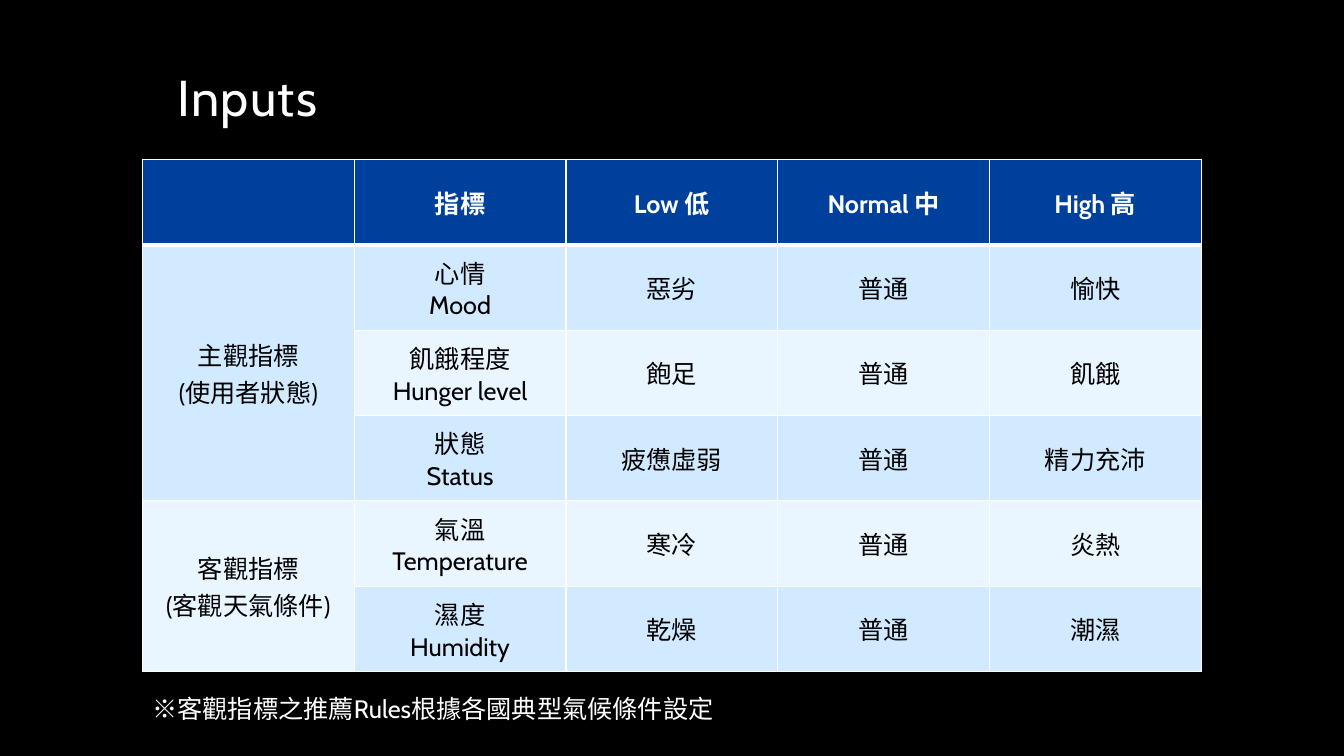
from lxml import etree
from pptx import Presentation
from pptx.dml.color import RGBColor
from pptx.enum.text import MSO_ANCHOR, MSO_AUTO_SIZE, PP_ALIGN
from pptx.oxml.ns import qn
from pptx.util import Cm, Pt

LEFT, CENTER = PP_ALIGN.LEFT, PP_ALIGN.CENTER
TOP, MIDDLE = MSO_ANCHOR.TOP, MSO_ANCHOR.MIDDLE
NO_FIT, GROW = MSO_AUTO_SIZE.NONE, MSO_AUTO_SIZE.SHAPE_TO_FIT_TEXT
TITLE_ONLY = 5
COLORS = {"back": "000000", "white": "FFFFFF", "ink": "000000",
          "header": "00409D", "odd": "D1EAFF", "even": "E9F5FF"}

HEADER = ["", "指標", "Low 低", "Normal 中", "High 高"]
# Each group: its label lines, then one row per indicator
GROUPS = [
    (["主觀指標", "(使用者狀態)"], [
        (["心情", "Mood"], "惡劣", "普通", "愉快"),
        (["飢餓程度", "Hunger level"], "飽足", "普通", "飢餓"),
        (["狀態", "Status"], "疲憊虛弱", "普通", "精力充沛"),
    ]),
    (["客觀指標", "(客觀天氣條件)"], [
        (["氣溫", "Temperature"], "寒冷", "普通", "炎熱"),
        (["濕度", "Humidity"], "乾燥", "普通", "潮濕"),
    ]),
]


class SlideBuilder:
    def __init__(self, prs, font="Cabin", size=18):
        self.font, self.size = font, size
        self.s = prs.slides.add_slide(prs.slide_layouts[TITLE_ONLY])
        fill = self.s.background.fill
        fill.solid()
        fill.fore_color.rgb = self.color("back")

    def color(self, name):
        return RGBColor.from_string(COLORS[name])

    def add_lines(self, tf, lines, color="white", size=None, bold=False, align=LEFT):
        for i, line in enumerate(lines):
            p = tf.add_paragraph() if i else tf.paragraphs[0]
            p.alignment = align
            r = p.add_run()
            r.text = line
            r.font.name, r.font.size = self.font, Pt(size or self.size)
            r.font.bold = bold
            r.font.color.rgb = self.color(color)

    def title(self, text, left, top, width, height):
        sp = self.s.shapes.title
        sp.left, sp.top, sp.width, sp.height = map(Cm, (left, top, width, height))
        tf = sp.text_frame
        tf.auto_size, tf.vertical_anchor = NO_FIT, TOP
        self.add_lines(tf, [text], size=36)
        p = tf.paragraphs[0]
        p.line_spacing = 0.9
        p.runs[0].font._element.set("spc", "100")

    def text(self, text, left, top, width, height):
        sp = self.s.shapes.add_textbox(*map(Cm, (left, top, width, height)))
        tf = sp.text_frame
        tf.word_wrap, tf.auto_size = True, GROW
        self.add_lines(tf, [text])

    def borders(self, cell, **widths):
        tcPr = cell._tc.get_or_add_tcPr()
        for i, side in enumerate("LRTB"):
            ln = etree.Element(qn(f"a:ln{side}"), w=str(Pt(widths.get(side, 1))))
            fill = etree.SubElement(ln, qn("a:solidFill"))
            etree.SubElement(fill, qn("a:srgbClr"), val=COLORS["white"])
            tcPr.insert(i, ln)

    def cell(self, cell, content, fill, color="ink", bold=False, **widths):
        self.borders(cell, **widths)
        cell.fill.solid()
        cell.fill.fore_color.rgb = self.color(fill)
        cell.vertical_anchor = MIDDLE
        lines = [content] if isinstance(content, str) else content
        if any(lines):
            self.add_lines(cell.text_frame, lines, color, bold=bold, align=CENTER)

    def table(self, header, groups, left, top, width, height):
        n_rows = 1 + sum(len(rows) for _, rows in groups)
        table = self.s.shapes.add_table(
            n_rows, len(header), *map(Cm, (left, top, width, height))).table
        for col in table.columns:
            col.width = Cm(width / len(header))
        for row in table.rows:
            row.height = Cm(height / n_rows)

        # Header row
        for c, label in enumerate(header):
            self.cell(table.cell(0, c), label, "header", "white", True, B=3)

        # Indicator rows, with one merged label per group
        r = 1
        for label, rows in groups:
            first = r
            for values in rows:
                fill = "odd" if r % 2 else "even"
                row_label = label if r == first else ""
                for c, content in enumerate([row_label, *values]):
                    self.cell(table.cell(r, c), content, fill, T=3 if r == 1 else 1)
                r += 1
            table.cell(first, 0).merge(table.cell(r - 1, 0))


def main():
    prs = Presentation()
    prs.slide_width, prs.slide_height = Cm(33.87), Cm(19.05)
    slide = SlideBuilder(prs)
    slide.title("Inputs", 4.22, 1.7, 25.4, 2.34)
    slide.table(HEADER, GROUPS, 3.59, 4.02, 26.68, 12.9)
    slide.text("※客觀指標之推薦Rules根據各國典型氣候條件設定", 3.59, 17.35, 25.83, 1.02)
    prs.save("out.pptx")


if __name__ == "__main__":
    main()
